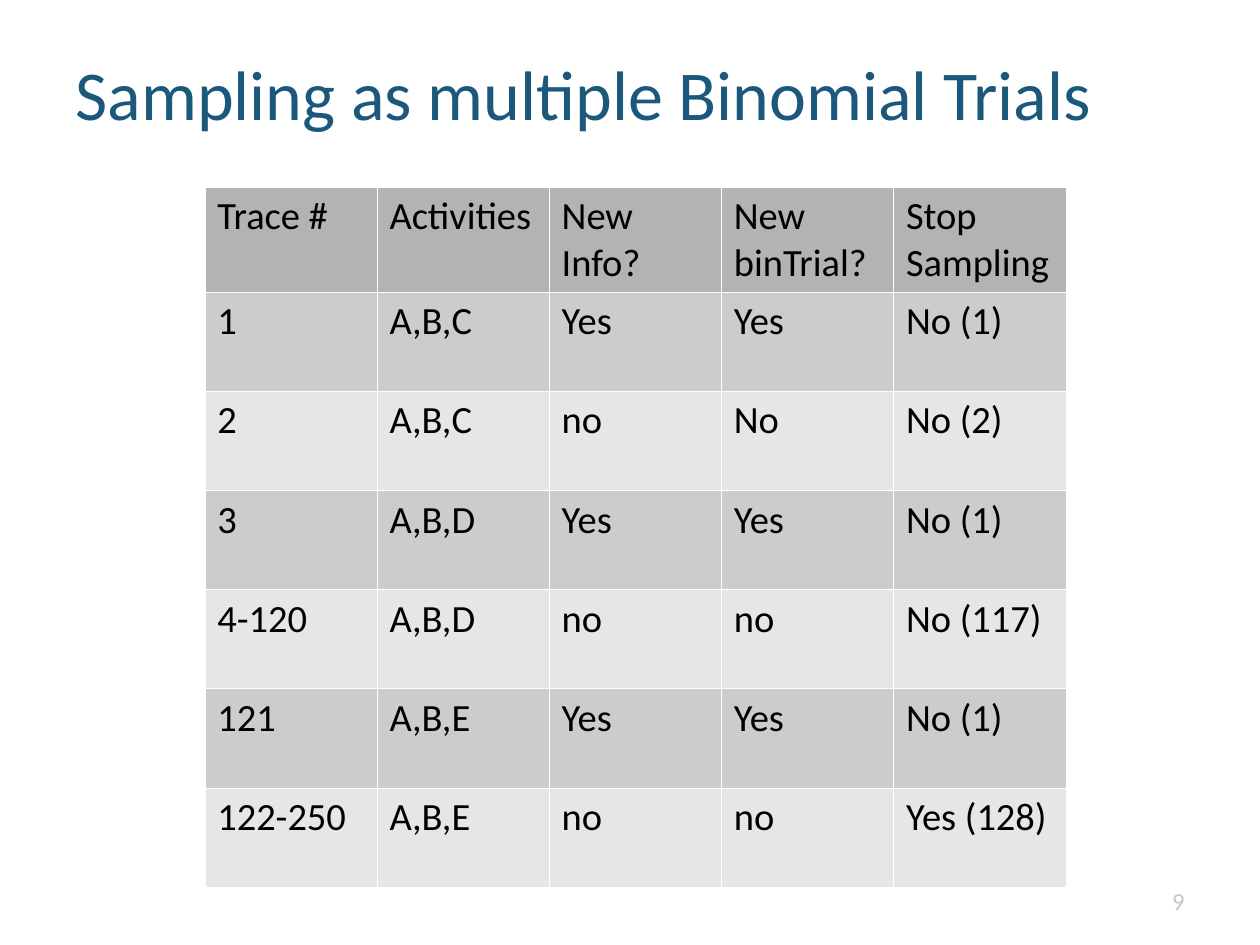
from lxml.etree import SubElement
from pptx import Presentation
from pptx.dml.color import RGBColor
from pptx.enum.text import MSO_ANCHOR as Anchor, MSO_AUTO_SIZE as AutoSize, PP_ALIGN as Align
from pptx.oxml.ns import qn
from pptx.util import Pt

COLORS = {
    "title": "1B587C",
    "number": "C5C5C5",
    "text": "000000",
    "header": "B3B3B3",
    "odd": "CCCCCC",
    "even": "E6E6E6",
    "border": "FFFFFF",
}
FONT = "Calibri"
TRIALS = [
    ["Trace #", "Activities", "New Info?", "New binTrial?", "Stop Sampling"],
    ["1", "A,B,C", "Yes", "Yes", "No (1)"],
    ["2", "A,B,C", "no", "No", "No (2)"],
    ["3", "A,B,D", "Yes", "Yes", "No (1)"],
    ["4-120", "A,B,D", "no", "no", "No (117)"],
    ["121", "A,B,E", "Yes", "Yes", "No (1)"],
    ["122-250", "A,B,E", "no", "no", "Yes (128)"],
]


def write(frame, text, *, size, color, align=Align.LEFT, anchor=Anchor.MIDDLE):
    frame.word_wrap = True
    frame.vertical_anchor = anchor
    paragraph = frame.paragraphs[0]
    paragraph.alignment = align
    run = paragraph.add_run()
    run.text = text
    run.font.name = FONT
    run.font.size = Pt(size)
    run.font.bold = False
    run.font.color.rgb = RGBColor.from_string(COLORS[color])


def add_title(slide, text, left, top, width, height):
    title = slide.shapes.title
    title.left, title.top = Pt(left), Pt(top)
    title.width, title.height = Pt(width), Pt(height)
    title.text_frame.auto_size = AutoSize.NONE
    write(title.text_frame, text, size=40, color="title")


def add_slide_number(slide, number, left, top, width, height):
    box = slide.shapes.add_textbox(Pt(left), Pt(top), Pt(width), Pt(height))
    write(box.text_frame, number, size=14, color="number", align=Align.RIGHT)


def draw_borders(cell):
    properties = cell._tc.get_or_add_tcPr()
    for side in ("a:lnL", "a:lnR", "a:lnT", "a:lnB"):
        line = SubElement(properties, qn(side), w=str(Pt(0.06)))
        fill = SubElement(line, qn("a:solidFill"))
        SubElement(fill, qn("a:srgbClr"), val=COLORS["border"])


def add_trials_table(slide, rows, left, top, width, height):
    table = slide.shapes.add_table(
        len(rows), len(rows[0]), Pt(left), Pt(top), Pt(width), Pt(height)
    ).table
    for row_index, row in enumerate(rows):
        band = "header" if row_index == 0 else "odd" if row_index % 2 else "even"
        for column_index, value in enumerate(row):
            cell = table.cell(row_index, column_index)
            draw_borders(cell)
            cell.fill.solid()
            cell.fill.fore_color.rgb = RGBColor.from_string(COLORS[band])
            write(cell.text_frame, value, size=22, color="text")
            cell.vertical_anchor = Anchor.TOP


def main():
    presentation = Presentation()
    presentation.slide_width, presentation.slide_height = Pt(720), Pt(540)
    slide = presentation.slides.add_slide(presentation.slide_layouts[5])
    add_title(slide, "Sampling as multiple Binomial Trials", 36, 21.6, 651, 62)
    add_slide_number(slide, "9", 516, 500.5, 168, 28.75)
    add_trials_table(slide, TRIALS, 117, 106.8, 492, 396.8)
    presentation.save("out.pptx")


if __name__ == "__main__":
    main()
